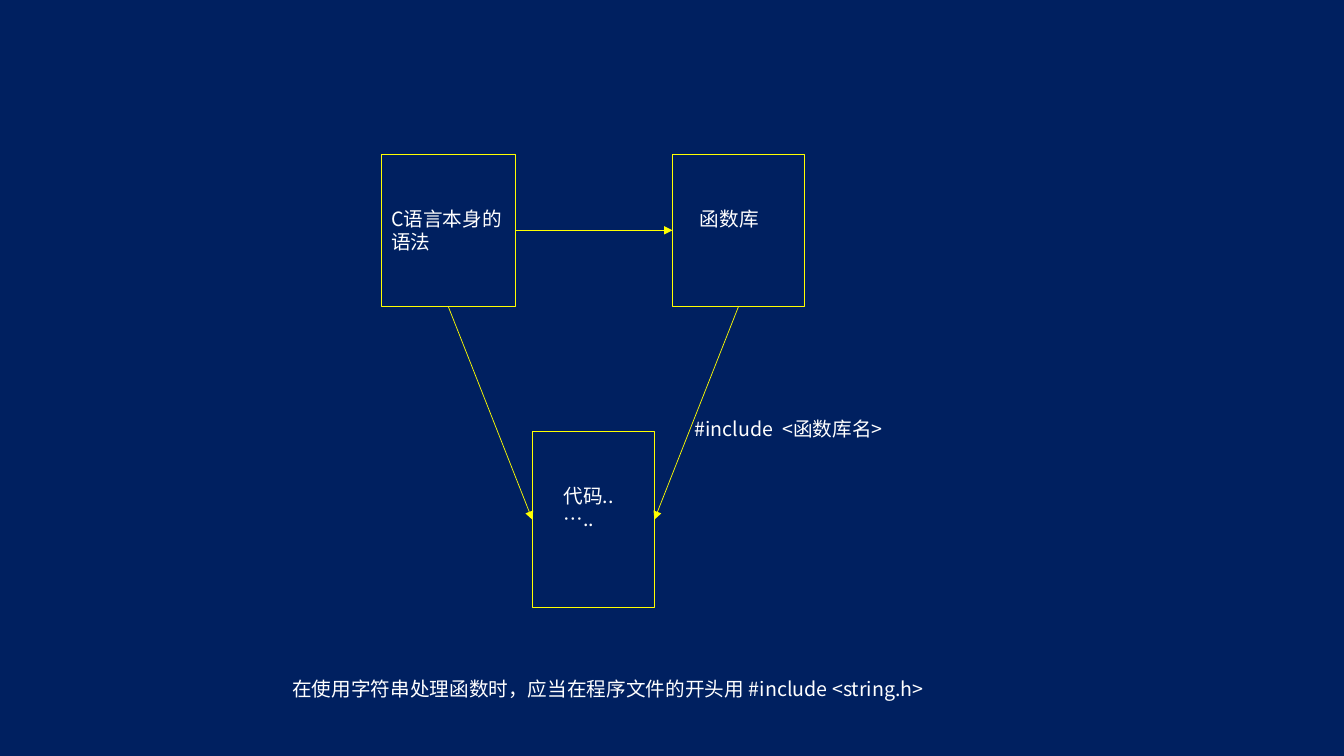
from dataclasses import dataclass

from lxml.etree import SubElement
from pptx import Presentation
from pptx.dml.color import RGBColor
from pptx.enum.shapes import MSO_CONNECTOR, MSO_SHAPE
from pptx.enum.text import MSO_ANCHOR, PP_ALIGN
from pptx.oxml.ns import qn
from pptx.shapes.autoshape import Shape
from pptx.slide import Slide
from pptx.util import Emu, Inches, Pt

NAVY = RGBColor(0x00, 0x20, 0x60)
YELLOW = RGBColor(0xFF, 0xFF, 0x00)
WHITE = RGBColor(0xFF, 0xFF, 0xFF)
FONT = "Noto Sans CJK SC"
WIDTH, HEIGHT = Inches(13.33), Inches(7.5)
TOP, LEFT, BOTTOM, RIGHT = range(4)


@dataclass(frozen=True)
class Area:
    """Place and size in percent of the slide, with text insets in inches."""
    x: float
    y: float
    w: float
    h: float
    text: str
    inset: float = 0.1
    drop: float = 0.05
    wrap: bool = False

    def frame(self) -> tuple[Emu, Emu, Emu, Emu]:
        return (Emu(int(WIDTH * self.x / 100)), Emu(int(HEIGHT * self.y / 100)),
                Emu(int(WIDTH * self.w / 100)), Emu(int(HEIGHT * self.h / 100)))


@dataclass(frozen=True)
class Link:
    start: str
    out: int
    end: str
    into: int


BOXES = {
    "syntax": Area(28.36, 20.4, 9.98, 20.13, "C语言本身的语法", drop=0.52, wrap=True),
    "library": Area(50.04, 20.4, 9.83, 20.13, "函数库", inset=0.27, drop=0.52),
    "code": Area(39.61, 57.07, 9.08, 23.33, "代码..\n…..", inset=0.31, drop=0.52),
}
LINKS = [
    Link("syntax", BOTTOM, "code", LEFT),
    Link("syntax", RIGHT, "library", LEFT),
    Link("library", BOTTOM, "code", RIGHT),
]
LABELS = [
    Area(50.94, 54.53, 16.5, 4.53, "#include  <函数库名>"),
    Area(21.01, 88.93, 49.81, 4.53,
         "在使用字符串处理函数时，应当在程序文件的开头用 #include <string.h>"),
]


def write(shape: Shape, area: Area) -> None:
    frame = shape.text_frame
    frame.text = area.text
    frame.word_wrap = area.wrap
    frame.vertical_anchor = MSO_ANCHOR.TOP
    frame.margin_left = Inches(area.inset)
    frame.margin_top = Inches(area.drop)
    for para in frame.paragraphs:
        para.alignment = PP_ALIGN.LEFT
        font = para.font
        font.size, font.name = Pt(14), FONT
        font.color.rgb = WHITE
        # East Asian glyphs need their own typeface entry
        props = para._p.pPr.find(qn("a:defRPr"))
        SubElement(props, qn("a:ea")).set("typeface", FONT)


def draw_box(slide: Slide, area: Area) -> Shape:
    box = slide.shapes.add_shape(MSO_SHAPE.RECTANGLE, *area.frame())
    box.shadow.inherit = False
    box.fill.background()
    box.line.color.rgb = YELLOW
    box.line.width = Pt(0.75)
    write(box, area)
    return box


def draw_link(slide: Slide, link: Link, boxes: dict[str, Shape]) -> None:
    arrow = slide.shapes.add_connector(MSO_CONNECTOR.STRAIGHT, 0, 0, 0, 0)
    arrow.begin_connect(boxes[link.start], link.out)
    arrow.end_connect(boxes[link.end], link.into)
    arrow.line.color.rgb = YELLOW
    arrow.line.width = Pt(0.5)
    SubElement(arrow.line._get_or_add_ln(), qn("a:tailEnd")).set("type", "triangle")
    SubElement(arrow._element.spPr, qn("a:effectLst"))


def main() -> None:
    deck = Presentation()
    deck.slide_width, deck.slide_height = WIDTH, HEIGHT
    slide = deck.slides.add_slide(deck.slide_layouts[6])
    fill = slide.background.fill
    fill.solid()
    fill.fore_color.rgb = NAVY
    boxes = {name: draw_box(slide, area) for name, area in BOXES.items()}
    for link in LINKS:
        draw_link(slide, link, boxes)
    for area in LABELS:
        write(slide.shapes.add_textbox(*area.frame()), area)
    deck.save("out.pptx")


if __name__ == "__main__":
    main()
